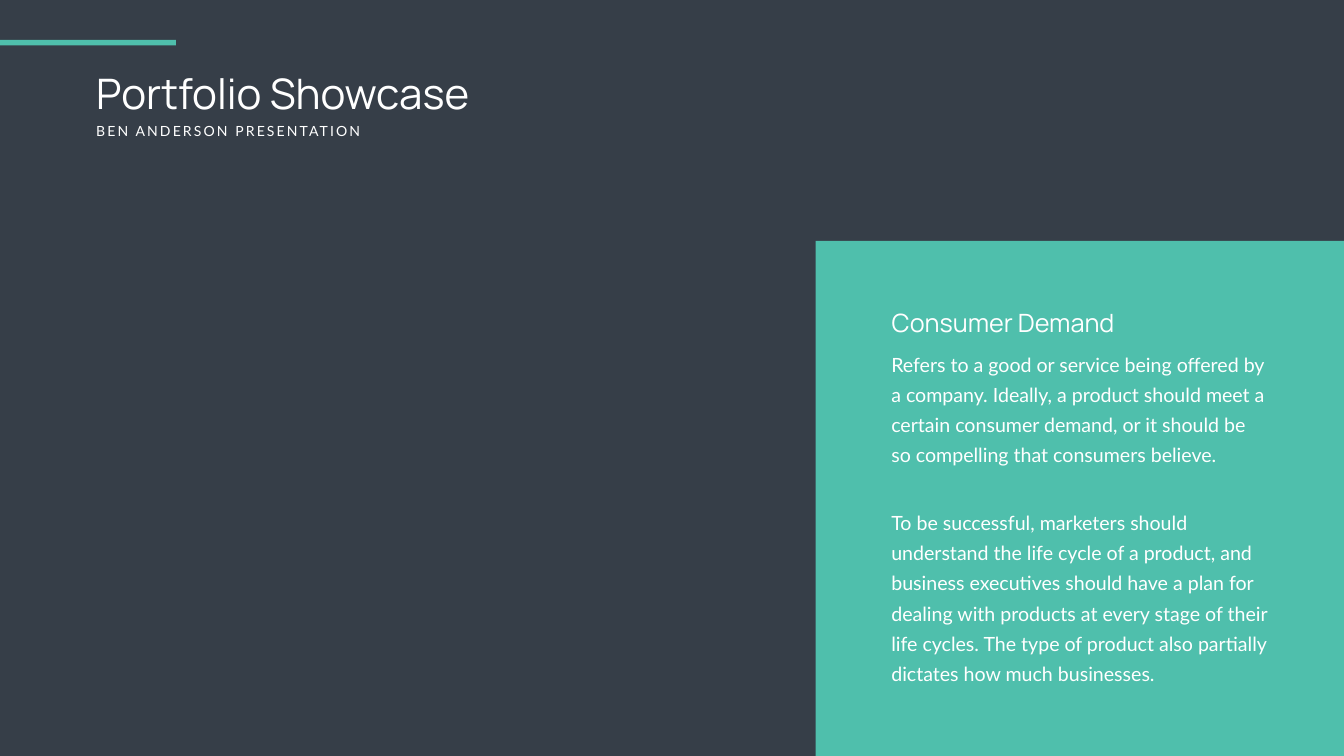
from dataclasses import dataclass

from pptx import Presentation
from pptx.dml.color import RGBColor
from pptx.enum.shapes import MSO_SHAPE
from pptx.enum.text import MSO_AUTO_SIZE
from pptx.util import Pt


@dataclass(frozen=True)
class Theme:
    background: RGBColor = RGBColor.from_string("363E48")
    accent: RGBColor = RGBColor.from_string("4FBFAC")
    text: RGBColor = RGBColor.from_string("FFFFFF")
    heading_font: str = "Manrope"
    body_font: str = "Lato"
    title_size: int = 60
    subtitle_size: int = 20
    heading_size: int = 36
    body_size: int = 28


theme = Theme()


def add_block(shapes, left, top, width, height):
    block = shapes.add_shape(MSO_SHAPE.RECTANGLE, Pt(left), Pt(top), Pt(width), Pt(height))
    block.shadow.inherit = False
    block.fill.solid()
    block.fill.fore_color.rgb = theme.accent
    block.line.fill.background()


def add_text(shapes, left, top, width, height, texts, font_name, size):
    box = shapes.add_textbox(Pt(left), Pt(top), Pt(width), Pt(height))
    frame = box.text_frame
    frame.word_wrap = True
    frame.auto_size = MSO_AUTO_SIZE.SHAPE_TO_FIT_TEXT
    for index, text in enumerate(texts):
        paragraph = frame.add_paragraph() if index else frame.paragraphs[0]
        run = paragraph.add_run()
        run.text = text
        run.font.name = font_name
        run.font.size = Pt(size)
        run.font.color.rgb = theme.text
    return frame


presentation = Presentation()
presentation.slide_width = Pt(1919.52)
presentation.slide_height = Pt(1080)
slide = presentation.slides.add_slide(presentation.slide_layouts[6])
slide.background.fill.solid()
slide.background.fill.fore_color.rgb = theme.background

add_text(slide.shapes, 130.3, 92.2, 699, 80, ["Portfolio Showcase"],
         theme.heading_font, theme.title_size)
add_block(slide.shapes, 0, 57, 251.3, 8)
subtitle = add_text(slide.shapes, 130.3, 172, 421, 31.7, ["BEN ANDERSON PRESENTATION"],
                    theme.body_font, theme.subtitle_size)
subtitle.paragraphs[0].runs[0].font._element.set("spc", "300")

add_block(slide.shapes, 1165, 344.2, 754.52, 735.8)
demand = slide.shapes.add_group_shape()
body = add_text(demand.shapes, 1255.7, 486, 575.3, 504, [
    "Refers to a good or service being offered by a company. Ideally, a product should meet "
    "a certain consumer demand, or it should be so compelling that consumers believe.",
    "To be successful, marketers should understand the life cycle of a product, and business "
    "executives should have a plan for dealing with products at every stage of their life "
    "cycles. The type of product also partially dictates how much businesses.",
], theme.body_font, theme.body_size)
body.margin_left = body.margin_right = Pt(17.3)
body.margin_top = body.margin_bottom = Pt(8.6)
for paragraph in body.paragraphs:
    paragraph.line_spacing = Pt(43)
body.paragraphs[1].space_before = Pt(54.2)
add_text(demand.shapes, 1266.5, 434.9, 438.5, 51.1, ["Consumer Demand"],
         theme.heading_font, theme.heading_size)

presentation.save("out.pptx")
